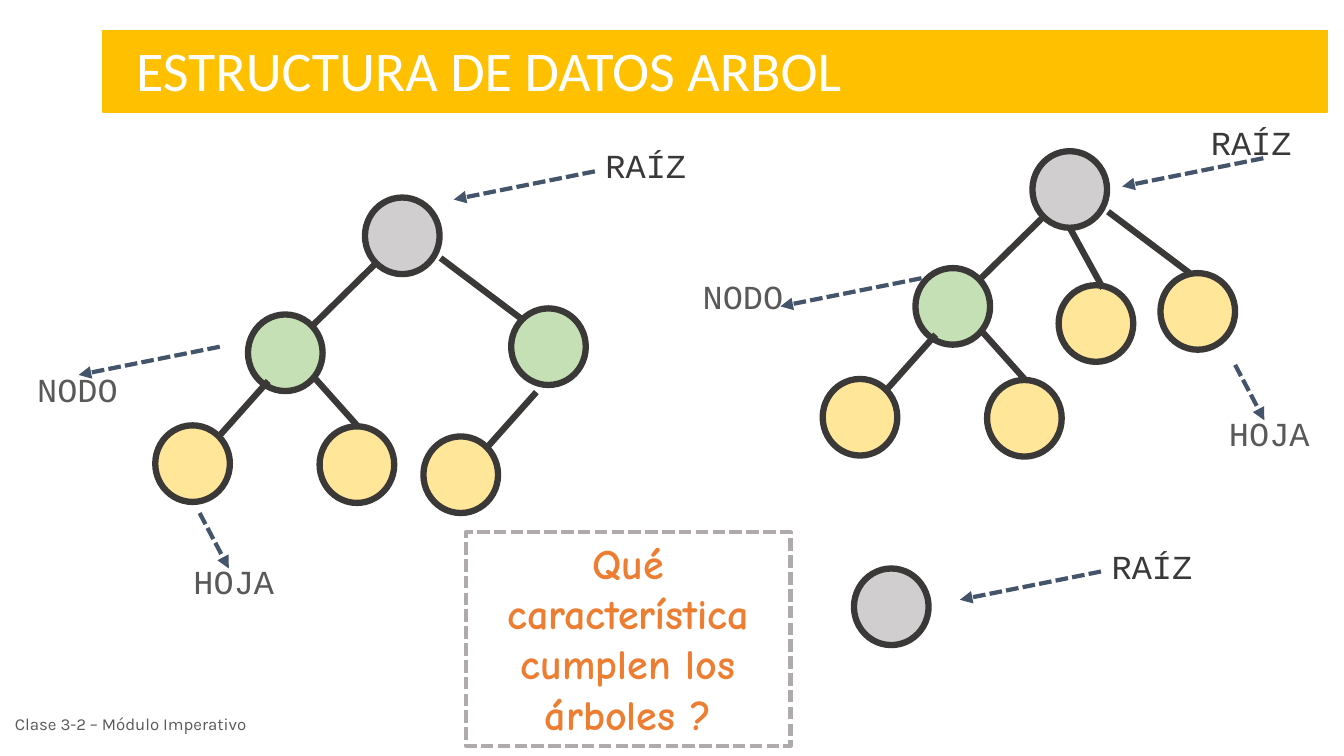
from pptx import Presentation
from pptx.dml.color import RGBColor
from pptx.enum.dml import MSO_LINE
from pptx.enum.shapes import MSO_CONNECTOR, MSO_SHAPE
from pptx.enum.text import MSO_ANCHOR, MSO_AUTO_SIZE, PP_ALIGN
from pptx.oxml.ns import qn
from pptx.util import Inches, Pt
from lxml.etree import SubElement

COLORS = {
    "bar": "FFC000", "white": "FFFFFF", "dark": "3B3838", "gray": "595959",
    "root": "D0CECE", "node": "C5E0B4", "leaf": "FFE699",
    "arrow": "44546A", "frame": "AFABAB", "ask": "ED7D31",
}
RGB = {name: RGBColor.from_string(code) for name, code in COLORS.items()}

prs = Presentation()
prs.slide_width, prs.slide_height = Inches(13.33), Inches(7.5)
slide = prs.slides.add_slide(prs.slide_layouts[5])
shapes = slide.shapes


def add_line(start, end, color, width, arrow=False):
    """Draw a solid edge, or a dashed pointer when arrow is set."""
    ends = [Inches(v) for v in (*start, *end)]
    link = shapes.add_connector(MSO_CONNECTOR.STRAIGHT, *ends)
    link.line.color.rgb = RGB[color]
    link.line.width = Pt(width)
    if arrow:
        link.line.dash_style = MSO_LINE.SQUARE_DOT
        SubElement(link.line._get_or_add_ln(), qn("a:tailEnd"), type="triangle")
    SubElement(link._element.spPr, qn("a:effectLst"))


def set_text(shape, text, font, size, color, align=PP_ALIGN.LEFT):
    """Fill the shape with one wrapped paragraph and return it."""
    shape.text_frame.word_wrap = True
    para = shape.text_frame.paragraphs[0]
    para.text = text
    para.alignment = align
    para.font.name, para.font.size = font, Pt(size)
    para.font.color.rgb = RGB[color]
    return para


# Title on its bar
bar = shapes.add_shape(MSO_SHAPE.RECTANGLE, Inches(1.02), Inches(0.3),
                       Inches(12.14), Inches(0.81))
bar.shadow.inherit = False
bar.fill.solid()
bar.fill.fore_color.rgb = bar.line.color.rgb = RGB["bar"]
bar.line.width = Pt(1)

title = shapes.title
title.left, title.top = Inches(1.25), Inches(0.3)
title.width, title.height = Inches(11.45), Inches(0.77)
title.text_frame.vertical_anchor = MSO_ANCHOR.TOP
title.text_frame.auto_size = MSO_AUTO_SIZE.NONE
set_text(title, "ESTRUCTURA DE DATOS ARBOL", "Calibri", 40, "white")
bar._element.addnext(title._element)

# Both trees share this part; the right one is shifted
base_nodes = [("root", 3.62, 1.96), ("node", 2.46, 3.12),
              ("leaf", 1.54, 4.22), ("leaf", 3.17, 4.23)]
base_edges = [(3.73, 2.61, 3.1, 3.23), (4.37, 2.56, 5.18, 3.17),
              (2.66, 3.78, 2.17, 4.33), (3.13, 3.76, 3.55, 4.23)]
nodes = [("node", 5.07, 3.06), ("leaf", 4.2, 4.33),
         ("leaf", 11.51, 2.71), ("leaf", 10.5, 2.83), ("root", 8.47, 5.64)]
edges = [(5.32, 3.89, 4.83, 4.44), (10.61, 2.26, 10.94, 2.86)]
for dx, dy in [(0, 0), (6.62, -0.46)]:
    nodes += [(kind, x + dx, y + dy) for kind, x, y in base_nodes]
    edges += [(a + dx, b + dy, c + dx, d + dy) for a, b, c, d in base_edges]

for kind, x, y in nodes:
    ball = shapes.add_shape(MSO_SHAPE.OVAL, Inches(x), Inches(y),
                            Inches(0.74), Inches(0.76))
    ball.shadow.inherit = False
    ball.fill.solid()
    ball.fill.fore_color.rgb = RGB[kind]
    ball.line.color.rgb = RGB["dark"]
    ball.line.width = Pt(4.5)
for a, b, c, d in edges:
    add_line((a, b), (c, d), "dark", 4.5)

# Pointers: text, arrow start, label left, top and width
steps = {"RAÍZ": (-1.4, 0.28), "NODO": (-1.4, 0.28), "HOJA": (0.29, 0.55)}
labels = [
    ("RAÍZ", 5.9, 1.7, 4.88, 1.39, 3.05),
    ("RAÍZ", 12.53, 1.57, 11.51, 1.16, 1.8),
    ("RAÍZ", 10.92, 5.67, 9.9, 5.37, 3.05),
    ("NODO", 2.18, 3.44, 0.27, 3.66, 1.49),
    ("NODO", 9.14, 2.76, 6.87, 2.73, 1.49),
    ("HOJA", 1.98, 5.09, 1.82, 5.56, 1.49),
    ("HOJA", 12.25, 3.62, 12.09, 4.09, 1.49),
]
for text, x, y, left, top, width in labels:
    dx, dy = steps[text]
    add_line((x, y), (x + dx, y + dy), "arrow", 3, arrow=True)
    root = text == "RAÍZ"
    box = shapes.add_textbox(Inches(left), Inches(top), Inches(width),
                             Inches(0.5 if root else 0.63))
    para = set_text(box, text, "Courier New", 24, "dark" if root else "gray",
                    PP_ALIGN.CENTER if root else PP_ALIGN.JUSTIFY)
    if not root:
        para.line_spacing = 0.9
        para.space_before = para.space_after = Pt(6)

# Footer and question
foot = shapes.add_textbox(Inches(0.05), Inches(6.96), Inches(2.97), Inches(0.45))
foot.text_frame.vertical_anchor = MSO_ANCHOR.MIDDLE
set_text(foot, "Clase 3-2 – Módulo Imperativo", "Karla", 12, "gray")

ask = shapes.add_textbox(Inches(4.62), Inches(5.28), Inches(3.22), Inches(2.12))
ask.line.color.rgb = RGB["frame"]
ask.line.width = Pt(3)
ask.line.dash_style = MSO_LINE.SQUARE_DOT
para = set_text(ask, "Qué característica cumplen los árboles ?", "Comic Neue",
                30, "ask", PP_ALIGN.CENTER)
para.font.bold = True

prs.save("out.pptx")
